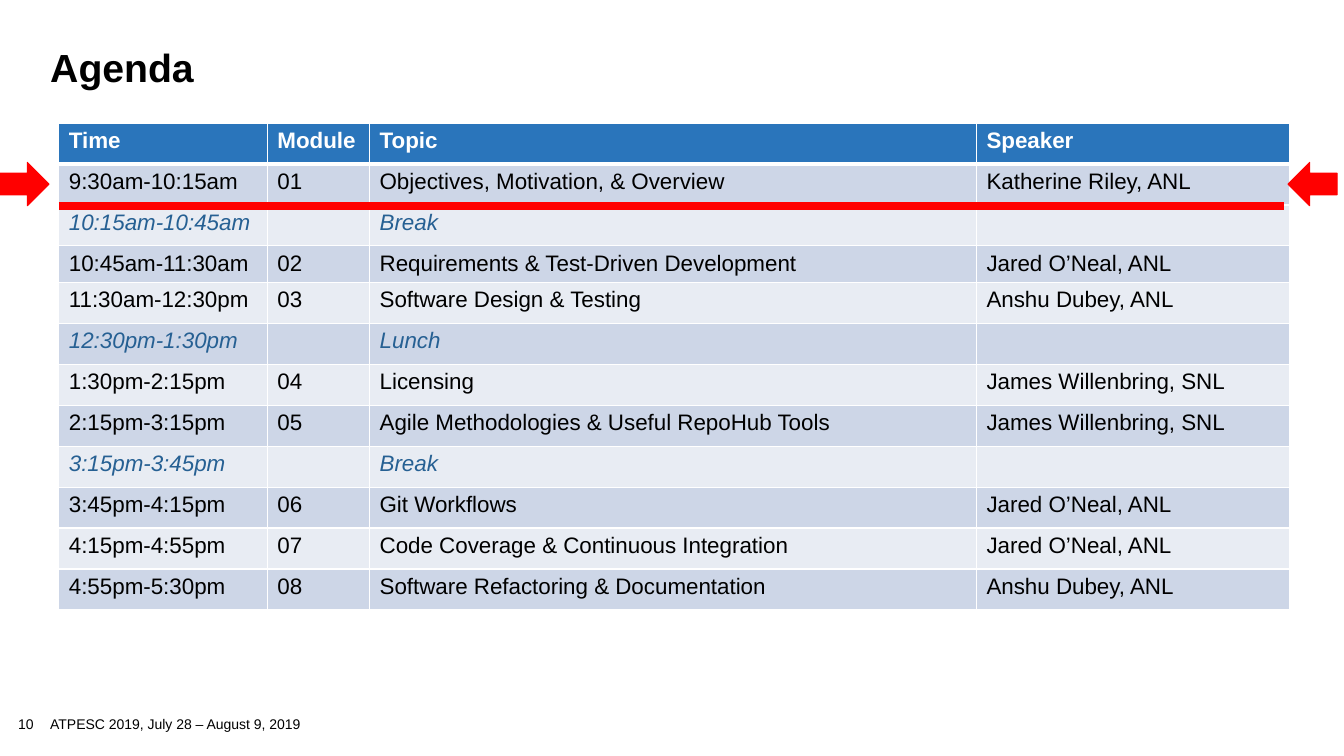
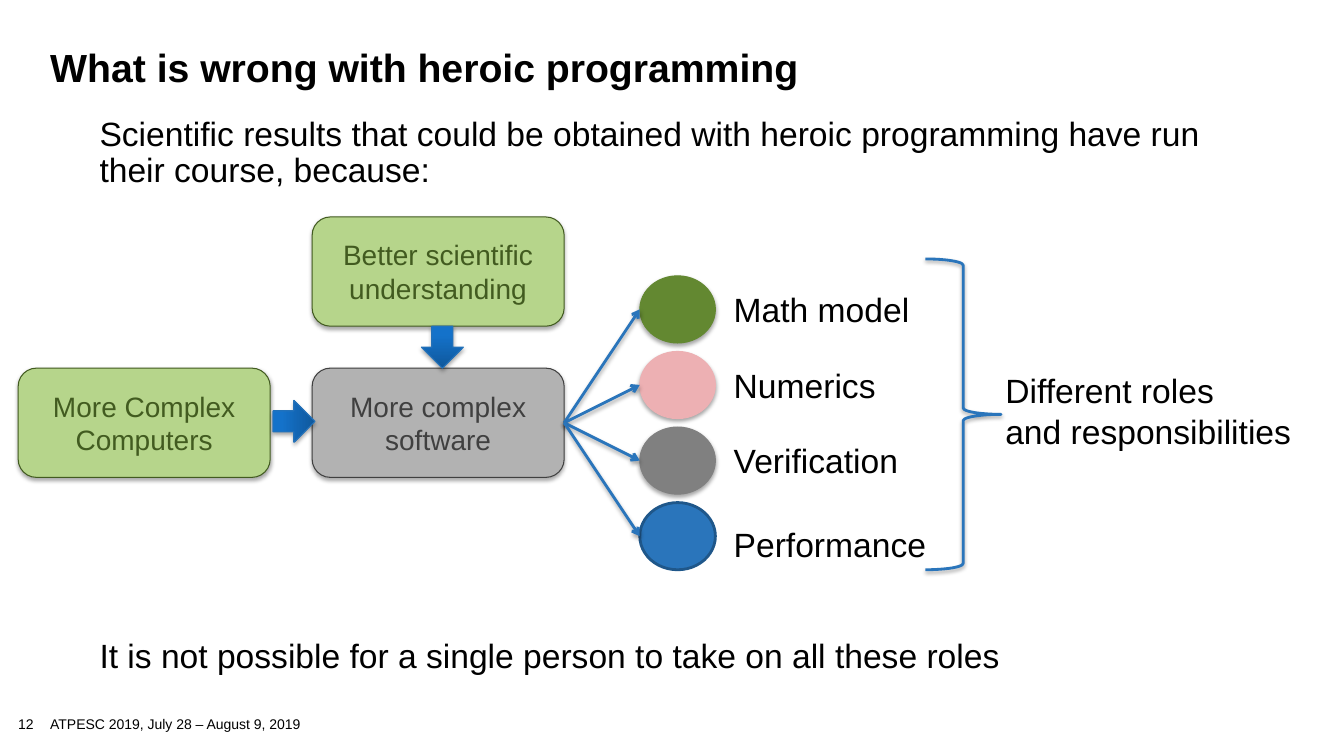
from dataclasses import dataclass

from lxml.etree import SubElement
from pptx import Presentation
from pptx.dml.color import RGBColor
from pptx.enum.shapes import MSO_CONNECTOR as Connector, MSO_SHAPE as Preset
from pptx.enum.text import MSO_ANCHOR as Anchor, PP_ALIGN as Align
from pptx.oxml import parse_xml
from pptx.oxml.ns import nsdecls, qn
from pptx.util import Pt


@dataclass(frozen=True)
class Theme:
    font: str = "Arial"
    black: str = "000000"
    white: str = "FFFFFF"
    blue: str = "2A75BB"
    blue_edge: str = "1F578A"
    pause_blue: str = "266093"
    band_dark: str = "CDD6E7"
    band_light: str = "E8ECF3"
    red: str = "FF0000"
    light_green: str = "B6D58B"
    dark_green: str = "425B20"
    green: str = "638831"
    pink: str = "EDB0B3"
    gray: str = "808080"
    light_gray: str = "B2B2B2"
    dark_gray: str = "404040"
    arrow_dark: str = "0F589C"
    arrow_light: str = "1472CA"
    arrow_edge: str = "2673BA"
    title_size: int = 28
    body_size: int = 24
    box_size: int = 20
    table_size: int = 16
    footer_size: int = 10


theme = Theme()
rgb = RGBColor.from_string
SHADOW = (
    f'<a:effectLst {nsdecls("a")}><a:outerShdw blurRad="39400" dist="22900" '
    'dir="5400000" rotWithShape="0"><a:srgbClr val="000000">'
    '<a:alpha val="35000"/></a:srgbClr></a:outerShdw></a:effectLst>'
)


def write_text(frame, text, size=theme.body_size, color=theme.black, bold=False,
               italic=False, align=Align.LEFT, anchor=Anchor.TOP, spacing=None,
               inset=None):
    frame.word_wrap = True
    frame.vertical_anchor = anchor
    if inset is not None:
        frame.margin_left = frame.margin_right = Pt(inset)
        frame.margin_top = frame.margin_bottom = Pt(inset)
    frame.text = text
    for paragraph in frame.paragraphs:
        paragraph.alignment = align
        paragraph.line_spacing = spacing
        font = paragraph.font
        font.name, font.size = theme.font, Pt(size)
        font.bold, font.italic = bold, italic
        font.color.rgb = rgb(color)


def draw_shape(slide, preset, box, fill, edge, edge_width=0.75, shadow=True):
    shape = slide.shapes.add_shape(preset, *map(Pt, box))
    if fill:
        shape.fill.solid()
        shape.fill.fore_color.rgb = rgb(fill)
    else:
        shape.fill.background()
    shape.line.color.rgb = rgb(edge)
    shape.line.width = Pt(edge_width)
    if shadow:
        shape._element.spPr.append(parse_xml(SHADOW))
    else:
        shape.shadow.inherit = False
    return shape


deck = Presentation()
deck.slide_width, deck.slide_height = Pt(960), Pt(540)

# Shared title, page number and footer
slides = []
for number, title in [("10", "Agenda"), ("12", "What is wrong with heroic programming")]:
    slide = deck.slides.add_slide(deck.slide_layouts[6])
    slides.append(slide)
    for text, box, style in [
        (number, (13, 512.6, 40, 11.5),
         dict(size=theme.footer_size, spacing=0.9, inset=0)),
        ("ATPESC 2019, July 28 – August 9, 2019", (28.8, 509.8, 261, 14.4),
         dict(size=theme.footer_size, anchor=Anchor.MIDDLE)),
        (title, (28.8, 32.4, 924, 72),
         dict(size=theme.title_size, bold=True, spacing=0.85)),
    ]:
        write_text(slide.shapes.add_textbox(*map(Pt, box)).text_frame, text, **style)
agenda, heroic = slides

# Agenda table
schedule = [
    ("Time", "Module", "Topic", "Speaker"),
    ("9:30am-10:15am", "01", "Objectives, Motivation, & Overview", "Katherine Riley, ANL"),
    ("10:15am-10:45am", "", "Break", ""),
    ("10:45am-11:30am", "02", "Requirements & Test-Driven Development", "Jared O’Neal, ANL"),
    ("11:30am-12:30pm", "03", "Software Design & Testing", "Anshu Dubey, ANL"),
    ("12:30pm-1:30pm", "", "Lunch", ""),
    ("1:30pm-2:15pm", "04", "Licensing", "James Willenbring, SNL"),
    ("2:15pm-3:15pm", "05", "Agile Methodologies & Useful RepoHub Tools", "James Willenbring, SNL"),
    ("3:15pm-3:45pm", "", "Break", ""),
    ("3:45pm-4:15pm", "06", "Git Workflows", "Jared O’Neal, ANL"),
    ("4:15pm-4:55pm", "07", "Code Coverage & Continuous Integration", "Jared O’Neal, ANL"),
    ("4:55pm-5:30pm", "08", "Software Refactoring & Documentation", "Anshu Dubey, ANL"),
]
column_widths = [149, 73, 433.5, 223.5]
row_heights = [29.2] * len(schedule)
row_heights[3] = 25.6
table = agenda.shapes.add_table(
    len(schedule), len(column_widths), Pt(42), Pt(88),
    Pt(sum(column_widths)), Pt(sum(row_heights))).table
for column, width in zip(table.columns, column_widths):
    column.width = Pt(width)
for row_index, entry in enumerate(schedule):
    table.rows[row_index].height = Pt(row_heights[row_index])
    header, pause = row_index == 0, not entry[1]
    if header:
        band, color = theme.blue, theme.white
    else:
        band = theme.band_dark if row_index % 2 else theme.band_light
        color = theme.pause_blue if pause else theme.black
    rules = {"L": 1, "R": 1, "T": 3 if row_index == 1 else 1, "B": 3 if header else 1}
    for cell, text in zip(table.rows[row_index].cells, entry):
        write_text(cell.text_frame, text, size=theme.table_size, color=color,
                   bold=header, italic=pause)
        properties = cell._tc.get_or_add_tcPr()
        for side, width in rules.items():
            properties.append(parse_xml(
                f'<a:ln{side} {nsdecls("a")} w="{Pt(width)}"><a:solidFill>'
                f'<a:srgbClr val="{theme.white}"/></a:solidFill></a:ln{side}>'))
        cell.fill.solid()
        cell.fill.fore_color.rgb = rgb(band)

# Marker for the current module
current_rule = agenda.shapes.add_connector(
    Connector.STRAIGHT, Pt(42), Pt(147), Pt(917), Pt(147))
current_rule.line.color.rgb = rgb(theme.red)
current_rule.line.width = Pt(6)
SubElement(current_rule._element.spPr, qn("a:effectLst"))
for preset, left in [(Preset.RIGHT_ARROW, 0), (Preset.LEFT_ARROW, 920)]:
    draw_shape(agenda, preset, (left, 116, 35, 31), theme.red, theme.red, shadow=False)

# Statements above and below the diagram
for text, top, height in [
    ("Scientific results that could be obtained with heroic programming have run "
     "their course, because:", 80, 60),
    ("It is not possible for a single person to take on all these roles", 453, 36),
]:
    statement = heroic.shapes.add_textbox(Pt(64), Pt(top), Pt(804), Pt(height))
    write_text(statement.text_frame, text, spacing=0.9)

# Causes and the software they lead to
for text, left, top, fill, ink in [
    ("Better scientific understanding", 223, 155, theme.light_green, theme.dark_green),
    ("More Complex Computers", 13, 263, theme.light_green, theme.dark_green),
    ("More complex software", 223, 263, theme.light_gray, theme.dark_gray),
]:
    software = draw_shape(heroic, Preset.ROUNDED_RECTANGLE, (left, top, 180, 78), fill, ink)
    write_text(software.text_frame, text, size=theme.box_size, color=ink,
               align=Align.CENTER, anchor=Anchor.MIDDLE)

for preset, left, top, angle in [
    (Preset.DOWN_ARROW, 301, 233, 90),
    (Preset.RIGHT_ARROW, 195, 286, 180),
]:
    cause_arrow = draw_shape(heroic, preset, (left, top, 30, 30),
                             theme.arrow_light, theme.arrow_edge)
    cause_arrow.fill.gradient()
    cause_arrow.fill.gradient_angle = angle
    for stop, color, position in zip(cause_arrow.fill.gradient_stops,
                                     (theme.arrow_dark, theme.arrow_light), (0, 0.8)):
        stop.color.rgb = rgb(color)
        stop.position = position

# Roles fanning out from the software
role_left, role_top, role_pitch, role_width, role_height = 457, 197, 54, 54, 48
for index, (role, fill, edge, edge_width, label_drop) in enumerate([
    ("Math model", theme.green, theme.green, 0.75, 6),
    ("Numerics", theme.pink, theme.pink, 0.75, 6),
    ("Verification", theme.gray, theme.gray, 0.75, 6),
    ("Performance", theme.blue, theme.blue_edge, 2, 12),
]):
    top = role_top + index * role_pitch
    draw_shape(heroic, Preset.OVAL, (role_left, top, role_width, role_height),
               fill, edge, edge_width, shadow=fill != theme.blue)
    label = heroic.shapes.add_textbox(Pt(517), Pt(top + label_drop), Pt(160), Pt(36))
    write_text(label.text_frame, role)
    branch = heroic.shapes.add_connector(
        Connector.STRAIGHT, Pt(403), Pt(302), Pt(role_left), Pt(top + role_height / 2))
    branch.begin_connect(software, 3)
    branch.line.color.rgb = rgb(theme.blue)
    branch.line.width = Pt(2)
    branch_properties = branch._element.spPr
    SubElement(branch_properties.find(qn("a:ln")), qn("a:tailEnd"), type="arrow")
    branch_properties.append(parse_xml(SHADOW))

# Brace and conclusion
draw_shape(heroic, Preset.RIGHT_BRACE, (661, 185, 54, 222), None, theme.blue, 2)
conclusion = heroic.shapes.add_textbox(Pt(711), Pt(261), Pt(228), Pt(65))
write_text(conclusion.text_frame, "Different roles\nand responsibilities")

deck.save("out.pptx")
